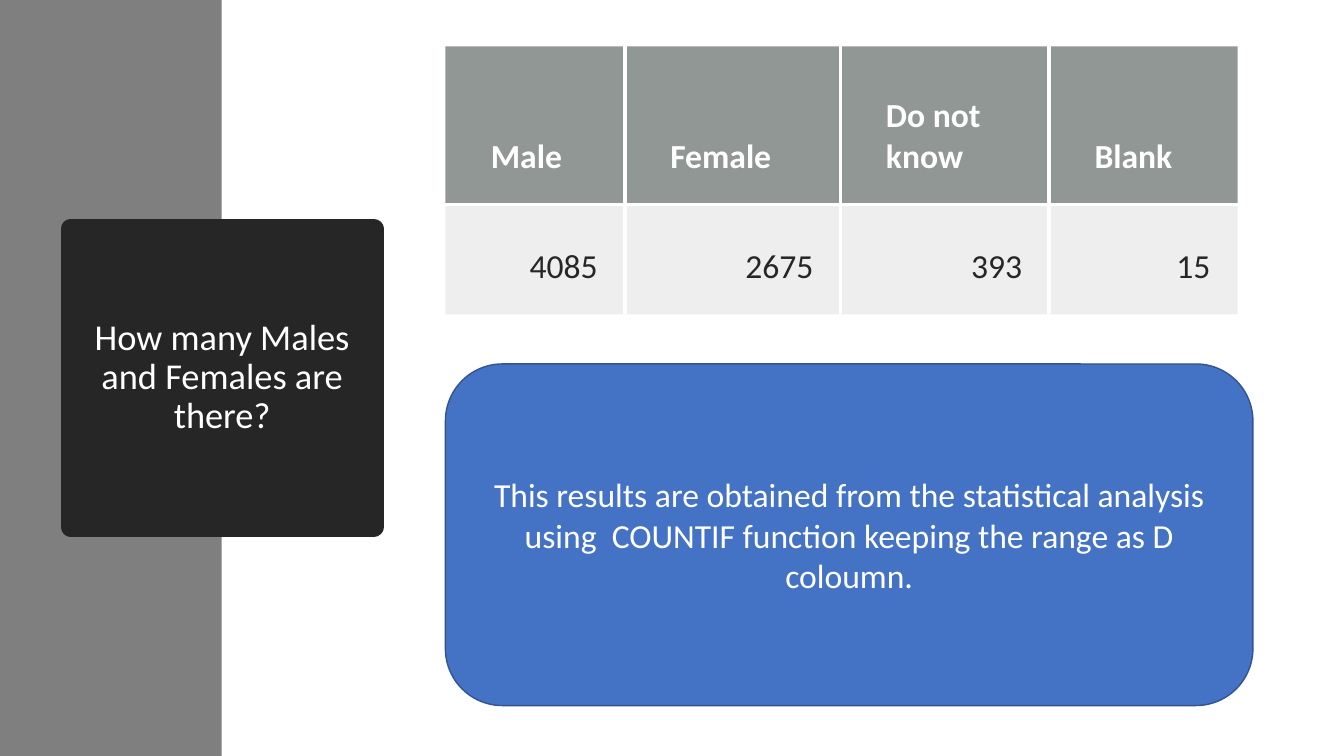
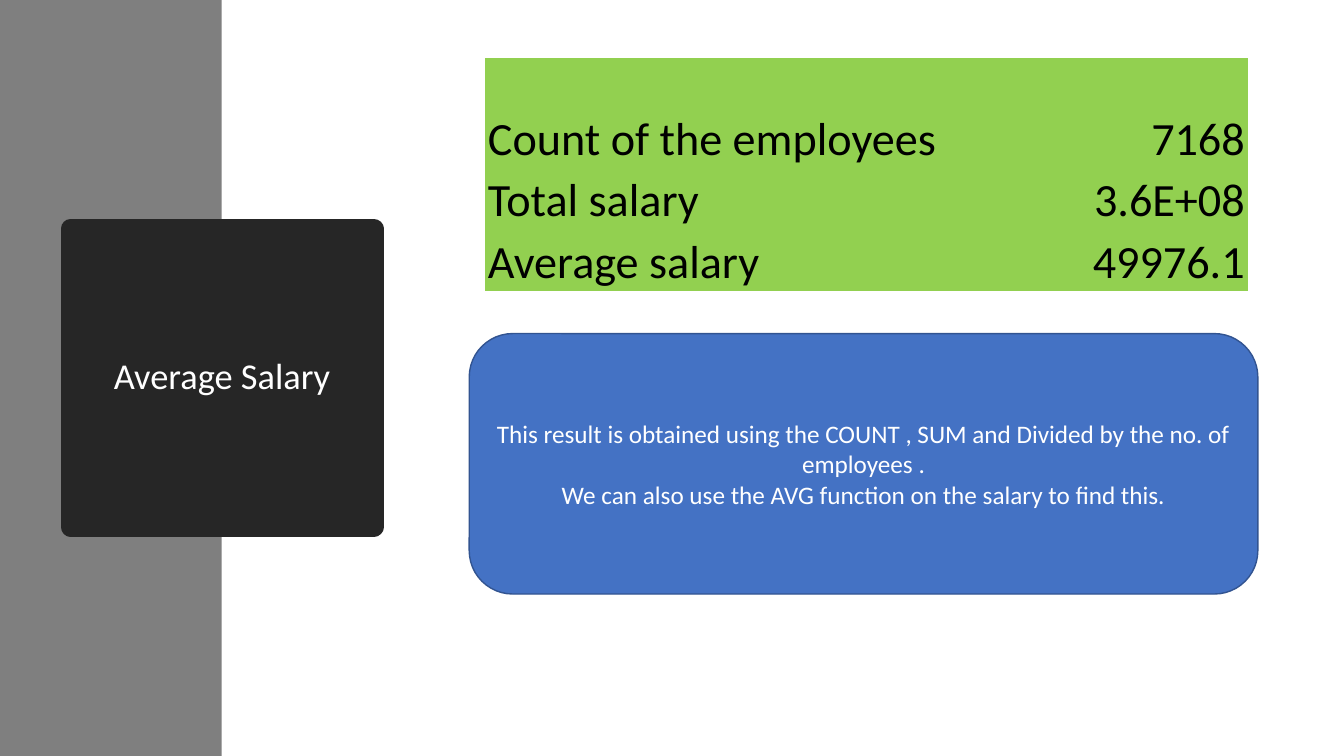
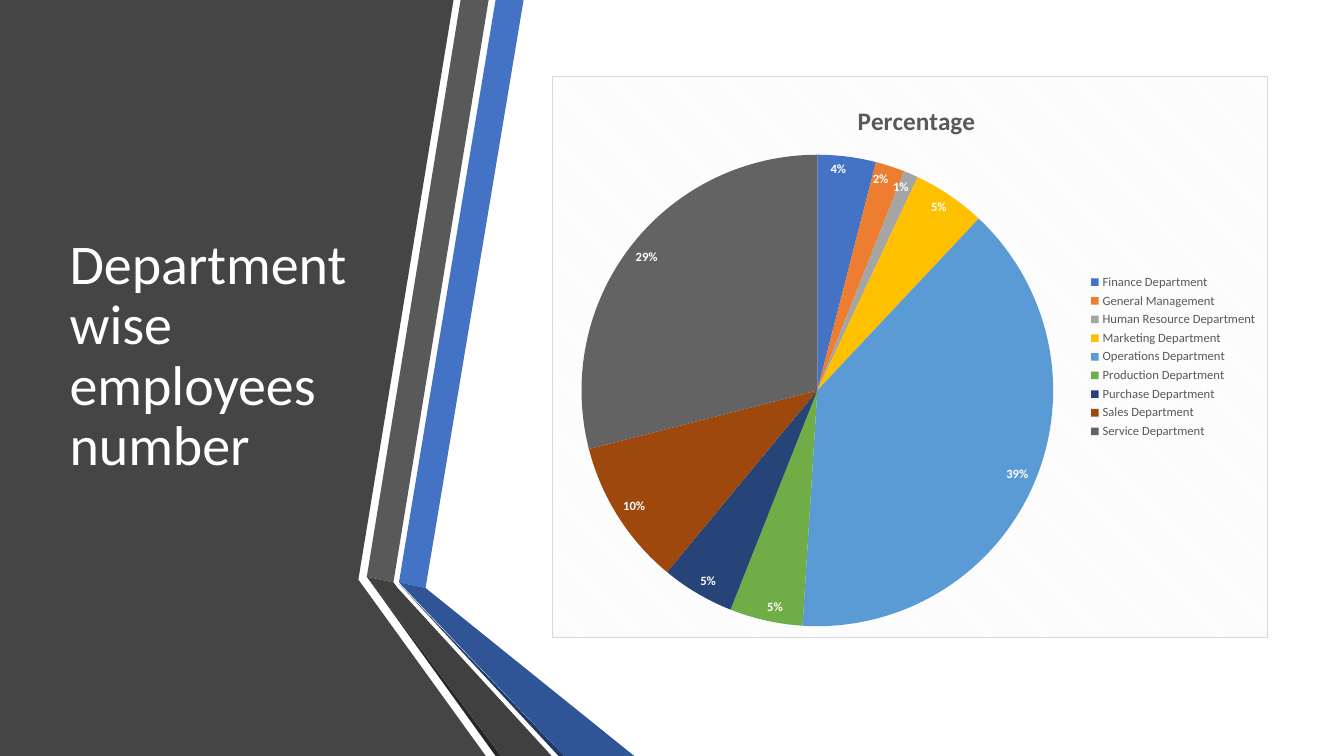
from lxml.etree import SubElement
from pptx import Presentation
from pptx.chart.data import CategoryChartData
from pptx.dml.color import RGBColor
from pptx.enum.chart import XL_CHART_TYPE as ChartType, XL_LABEL_POSITION as LabelPosition, XL_LEGEND_POSITION as LegendPosition
from pptx.enum.shapes import MSO_SHAPE as Preset
from pptx.enum.text import MSO_ANCHOR as Anchor, MSO_AUTO_SIZE as AutoSize, PP_ALIGN as Align
from pptx.oxml import parse_xml
from pptx.oxml.ns import nsdecls, qn
from pptx.util import Pt

FONT = "Calibri"
WIDTH, HEIGHT = 960, 540
WHITE, BLACK, INK, BLUE = "FFFFFF", "000000", "262626", "4472C4"
CHART_TEXT = "595959"
NO_STYLE = "{2D5ABB26-0587-4C30-8999-92F81FD0307C}"

GENDER = {
    "title": "How many Males and Females are there?",
    "table": {
        "place": (318.2, 33.1),
        "columns": (128.2, 154.1, 149, 134.6),
        "heights": (113, 78.5),
        "rows": [("Male", "Female", "Do not know", "Blank"), ("4085", "2675", "393", "15")],
        "size": 24,
        "margins": (32.4, 19.4, 19.4, 19.4),
        "row_looks": [("636B68", 70, WHITE, True), ("878E8B", 15, INK, False)],
        "right": lambda row, column: row > 0,
        "grid": True,
    },
    "note": ["This results are obtained from the statistical analysis using  COUNTIF function "
             "keeping the range as D coloumn."],
    "note_place": (318.2, 260, 576.8, 244),
    "note_size": 24,
}
SALARY = {
    "title": "Average Salary",
    "table": {
        "place": (346.3, 41.2),
        "columns": (337.7, 207.4),
        "heights": (78.5, 44, 44),
        "rows": [("Count of the employees", "7168"), ("Total salary", "3.6E+08"), ("Average salary", "49976.1")],
        "size": 33,
        "margins": (2.2, 2.2, 2.2, 0),
        "row_looks": [("92D050", 100, BLACK, False)] * 3,
        "right": lambda row, column: column > 0,
        "grid": False,
    },
    "note": ["This result is obtained using the COUNT , SUM and Divided by the no. of employees .",
             "We can also use the AVG function on the salary to find this."],
    "note_place": (335.2, 238.3, 563.3, 186),
    "note_size": 18,
}
DEPARTMENTS = [
    ("Finance Department", 4, "4472C4"),
    ("General Management", 2, "ED7D31"),
    ("Human Resource Department", 1, "A5A5A5"),
    ("Marketing Department", 5, "FFC000"),
    ("Operations Department", 39, "5B9BD5"),
    ("Production Department", 5, "70AD47"),
    ("Purchase Department", 5, "264478"),
    ("Sales Department", 10, "9E480E"),
    ("Service Department", 29, "636363"),
]
RIBBONS = [
    ("454545", [(0, 0), (323.5, 0), (256.5, 414.5), (347, 540), (0, 540)]),
    (BLUE, [(285, 416), (304.5, 419.5), (373.5, 0), (353.5, 0)]),
    ("595959", [(349, 0), (329, 0), (261.5, 412.5), (281, 415.5)]),
    (INK, [(261.5, 412.5), (353.5, 540), (358, 540)]),
    ("203864", [(285, 417), (399, 540), (403, 540)]),
    ("2F5597", [(285, 416), (403, 540), (453, 540), (304.5, 419.5)]),
    ("404040", [(394.5, 540), (284.5, 419.5), (281, 415.5), (261.5, 412.5), (358, 540)]),
]


def color(value):
    return RGBColor.from_string(value)


def points(*lengths):
    return [Pt(length) for length in lengths]


def paint(shape, fill, line=None, weight=1):
    shape.shadow.inherit = False
    fill_solid(shape.fill, fill)
    if line:
        shape.line.color.rgb = color(line)
        shape.line.width = Pt(weight)
    else:
        shape.line.fill.background()


def fill_solid(fill, value):
    fill.solid()
    fill.fore_color.rgb = color(value)


def style_font(font, size, value, bold=False):
    font.name, font.size, font.bold = FONT, Pt(size), bold
    font.color.rgb = color(value)


def style_text(frame, size, value, align, bold=False, spacing=None):
    for para in frame.paragraphs:
        para.alignment = align
        if spacing:
            para.line_spacing = spacing
        for span in para.runs:
            style_font(span.font, size, value, bold)


def set_title(slide, text, place, size, align):
    title = slide.shapes.title
    title.left, title.top, title.width, title.height = points(*place)
    frame = title.text_frame
    frame.text = text
    frame.word_wrap, frame.auto_size = True, AutoSize.NONE
    frame.vertical_anchor = Anchor.MIDDLE
    style_text(frame, size, WHITE, align, spacing=0.9)
    slide.shapes._spTree.append(title._element)
    return title


def add_note(slide, lines, place, size):
    box = slide.shapes.add_shape(Preset.ROUNDED_RECTANGLE, *points(*place))
    paint(box, BLUE, "325491")
    box.text_frame.text = "\n".join(lines)
    box.text_frame.word_wrap = True
    box.text_frame.vertical_anchor = Anchor.MIDDLE
    style_text(box.text_frame, size, WHITE, Align.CENTER)


def add_borders(cell, sides):
    properties = cell._tc.get_or_add_tcPr()
    for index, side in enumerate(sides):
        properties.insert(index, parse_xml(
            f'<a:ln{side} {nsdecls("a")} w="{Pt(3)}"><a:solidFill><a:srgbClr val="{WHITE}"/>'
            f'</a:solidFill></a:ln{side}>'))


def add_data_table(slide, data):
    rows, columns, heights = data["rows"], data["columns"], data["heights"]
    place = (*data["place"], sum(columns), sum(heights))
    table = slide.shapes.add_table(len(rows), len(columns), *points(*place)).table
    table.first_row = table.horz_banding = False
    table._tbl.tblPr.find(qn("a:tableStyleId")).text = NO_STYLE
    for column, width in zip(table.columns, columns):
        column.width = Pt(width)
    for r, (texts, look) in enumerate(zip(rows, data["row_looks"])):
        fill, opacity, text_color, bold = look
        table.rows[r].height = Pt(heights[r])
        for c, text in enumerate(texts):
            cell = table.cell(r, c)
            cell.text = text
            cell.vertical_anchor = Anchor.BOTTOM
            cell.margin_left, cell.margin_top, cell.margin_right, cell.margin_bottom = points(*data["margins"])
            align = Align.RIGHT if data["right"](r, c) else Align.LEFT
            style_text(cell.text_frame, data["size"], text_color, align, bold)
            fill_solid(cell.fill, fill)
            if opacity < 100:
                tint = cell._tc.tcPr.find(".//" + qn("a:srgbClr"))
                SubElement(tint, qn("a:alpha")).set("val", str(opacity * 1000))
            if data["grid"]:
                inner = {"L": c > 0, "R": c < len(columns) - 1, "T": r > 0, "B": r < len(rows) - 1}
                add_borders(cell, [side for side, shown in inner.items() if shown])


def set_layout(element, index, target="", **values):
    for old in element.findall(qn("c:layout")):
        element.remove(old)
    inner = f'<c:layoutTarget val="{target}"/>' if target else ""
    inner += '<c:xMode val="edge"/><c:yMode val="edge"/>'
    inner += "".join(f'<c:{key} val="{value}"/>' for key, value in values.items())
    element.insert(index, parse_xml(
        f'<c:layout {nsdecls("c")}><c:manualLayout>{inner}</c:manualLayout></c:layout>'))


def add_pie(slide):
    data = CategoryChartData()
    data.categories = [name for name, _, _ in DEPARTMENTS]
    data.add_series("Series 1", [share for _, share, _ in DEPARTMENTS])
    chart = slide.shapes.add_chart(ChartType.PIE, *points(394.6, 54, 511.2, 401.8), data).chart
    style_font(chart.font, 10, BLACK)
    chart.has_title = True
    title = chart.chart_title
    title.text_frame.text = "Percentage"
    style_text(title.text_frame, 18, CHART_TEXT, Align.CENTER, bold=True)
    title.include_in_layout = False
    set_layout(title._element, 1, x=0.42, y=0.04)

    chart.has_legend = True
    chart.legend.position = LegendPosition.RIGHT
    chart.legend.include_in_layout = False
    style_font(chart.legend.font, 9, CHART_TEXT)

    plot = chart.plots[0]
    plot.vary_by_categories = True
    for index, (_, _, value) in enumerate(DEPARTMENTS):
        fill_solid(plot.series[0].points[index].format.fill, value)
    plot.has_data_labels = True
    labels = plot.data_labels
    labels.show_percentage, labels.show_value = True, False
    labels.number_format, labels.number_format_is_linked = "0%", False
    labels.position = LabelPosition.INSIDE_END
    style_font(labels.font, 9, WHITE, bold=True)

    body = chart._chartSpace.find(qn("c:chart"))
    set_layout(body.find(qn("c:plotArea")), 0, "inner", x=0.04, y=0.14, w=0.66, h=0.84)
    body.addnext(parse_xml(
        f'<c:spPr {nsdecls("c", "a")}><a:pattFill prst="dkDnDiag"><a:fgClr><a:srgbClr val="F2F2F2"/></a:fgClr>'
        f'<a:bgClr><a:srgbClr val="{WHITE}"/></a:bgClr></a:pattFill><a:ln w="{Pt(0.75)}"><a:solidFill>'
        '<a:srgbClr val="D9D9D9"/></a:solidFill></a:ln></c:spPr>'))


def build_result_slide(slide, content):
    band = slide.shapes.add_shape(Preset.RECTANGLE, *points(0, 0, 158.4, HEIGHT))
    paint(band, "7F7F7F")
    title = set_title(slide, content["title"], (50.4, 163.4, 216.7, 213.1), 26, Align.CENTER)
    paint(title, INK, INK, 13.75)
    add_data_table(slide, content["table"])
    add_note(slide, content["note"], content["note_place"], content["note_size"])


def build_department_slide(slide):
    for fill, (start, *corners) in RIBBONS:
        outline = slide.shapes.build_freeform(*start, scale=Pt(1))
        outline.add_line_segments(corners, close=True)
        paint(outline.convert_to_shape(), fill)
    set_title(slide, "Department wise employees number", (42.5, 54, 218.9, 401.8), 40, Align.LEFT)
    add_pie(slide)


def main():
    deck = Presentation()
    deck.slide_width, deck.slide_height = points(WIDTH, HEIGHT)
    title_only = deck.slide_layouts[5]
    for content in (GENDER, SALARY):
        build_result_slide(deck.slides.add_slide(title_only), content)
    build_department_slide(deck.slides.add_slide(title_only))
    deck.save("out.pptx")


if __name__ == "__main__":
    main()
